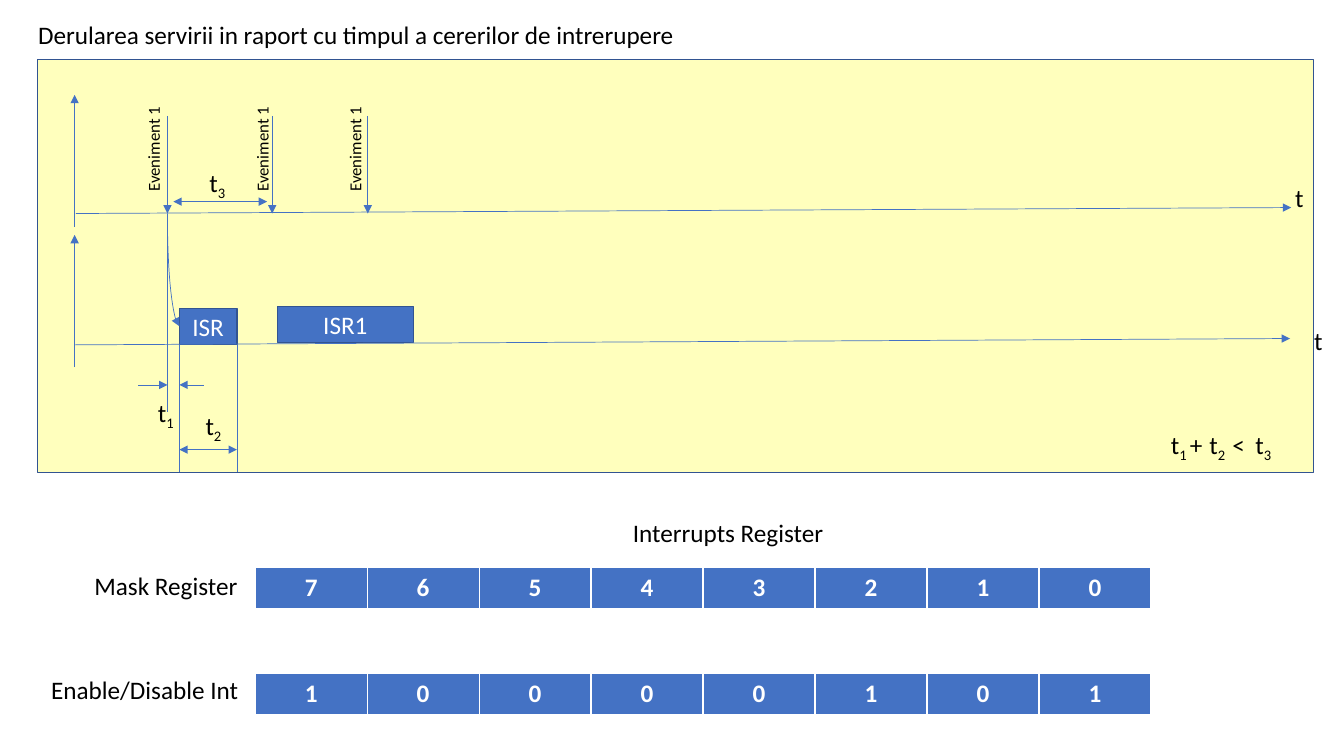
from dataclasses import dataclass
from typing import Any

from lxml import etree
from pptx import Presentation
from pptx.dml.color import RGBColor
from pptx.enum.shapes import MSO_CONNECTOR, MSO_SHAPE
from pptx.enum.text import MSO_ANCHOR, MSO_AUTO_SIZE, PP_ALIGN
from pptx.oxml.ns import qn
from pptx.util import Cm, Pt

RECT = MSO_SHAPE.RECTANGLE
STRAIGHT, CURVE = MSO_CONNECTOR.STRAIGHT, MSO_CONNECTOR.CURVE
MIDDLE, CENTER = MSO_ANCHOR.MIDDLE, PP_ALIGN.CENTER
GROW = MSO_AUTO_SIZE.SHAPE_TO_FIT_TEXT

BLUE = RGBColor(0x44, 0x72, 0xC4)
NAVY = RGBColor(0x32, 0x54, 0x91)
YELLOW = RGBColor(0xFF, 0xFF, 0x00)
BLACK = RGBColor(0x00, 0x00, 0x00)
WHITE = RGBColor(0xFF, 0xFF, 0xFF)

BODY = {"name": "Calibri", "size": Pt(18)}
SMALL = {"name": "Calibri", "size": Pt(12)}
HEAD = {"name": "Calibri", "size": Pt(18), "bold": True}
FRAME = {"word_wrap": False, "auto_size": GROW}

ZERO, START, STOP = 4.22, 4.52, 5.97
TOP, BASE, FLOOR = 5.38, 8.69, 11.89
SUM_TOP = 10.69


@dataclass
class Box:
    text: str
    left: float
    top: float
    width: float
    height: float
    fill: RGBColor = BLUE


@dataclass
class Line:
    x1: float
    y1: float
    x2: float
    y2: float
    ends: tuple[str, ...] = ()
    kind: Any = STRAIGHT


@dataclass
class Label:
    text: str
    left: float
    top: float
    width: float
    height: float = 1.02
    turned: bool = False


@dataclass
class Row:
    top: float
    bits: str


TAIL = ("tailEnd",)
BOTH = ("headEnd", "tailEnd")

PANEL = Box("", 0.94, 1.5, 32.16, 10.41, YELLOW)
BOXES = [
    Box("ISR", START, 7.77, 1.45, 0.91),
    Box("ISR1", 6.99, 7.72, 3.43, 0.91),
]
EVENTS = [(ZERO, 3.48), (6.86, 6.22), (9.27, 8.56)]
LINES = [
    Line(1.91, TOP, 32.54, 5.23, TAIL),
    Line(1.88, 5.72, 1.88, 2.39, TAIL),
    Line(1.88, BASE, 32.51, 8.53, TAIL),
    Line(1.88, 9.25, 1.88, 5.92, TAIL),
    *[Line(x, 2.92, x, TOP, TAIL) for x, _ in EVENTS],
    Line(ZERO, 5.49, ZERO, 10.39),
    Line(START, BASE, START, FLOOR),
    Line(STOP, BASE, STOP, FLOOR),
    Line(3.48, 9.7, ZERO, 9.7, TAIL),
    Line(5.13, 9.7, START, 9.7, TAIL),
    Line(START, 11.33, STOP, 11.33, BOTH),
    Line(4.37, 5.08, 6.73, 5.08, BOTH),
]
BEND = Line(5.79, 6.65, 2.95, 6.95, TAIL, CURVE)
LABELS = [
    *[Label("Eveniment 1", x, 2.67, 1.02, 2.41, True) for _, x in EVENTS],
    Label("t", 32.39, 4.47, 0.74),
    Label("t", 32.87, 8.08, 0.74),
    Label("t_1", 3.73, 9.88, 0.94),
    Label("t_2", 4.93, 10.21, 0.94),
    Label("t_3", 5.03, 4.09, 0.94),
    Label("t_1", 29.26, SUM_TOP, 0.94),
    Label("+", 29.74, SUM_TOP, 0.84),
    Label("t_2", 30.23, SUM_TOP, 0.94),
    Label("<", 30.81, SUM_TOP, 0.84),
    Label("t_3", 31.39, SUM_TOP, 0.94),
    Label("Enable/Disable Int", 1.04, 16.87, 5.28),
    Label("Mask Register", 2.13, 14.25, 4.14),
    Label("Interrupts Register", 15.7, 12.9, 5.36),
    Label("Derularea servirii in raport cu timpul a cererilor de intrerupere",
          0.71, 0.36, 16.74),
]
ROWS = [Row(14.3, "76543210"), Row(16.97, "10000101")]


def assign(item: Any, values: dict[str, Any]) -> None:
    for key, value in values.items():
        setattr(item, key, value)


def write(par: Any, text: str, style: dict[str, Any], color: RGBColor) -> None:
    for index, part in enumerate(text.split("_")):
        run = par.add_run()
        run.text = part
        assign(run.font, style)
        run.font.color.rgb = color
        if index:
            run._r.get_or_add_rPr().set("baseline", "-25000")


def draw_box(shapes: Any, box: Box) -> Any:
    shape = shapes.add_shape(RECT, Cm(box.left), Cm(box.top),
                             Cm(box.width), Cm(box.height))
    shape.shadow.inherit = False
    shape.fill.solid()
    shape.fill.fore_color.rgb = box.fill
    shape.line.color.rgb = NAVY
    shape.line.width = Pt(1)
    if box.text:
        frame = shape.text_frame
        frame.vertical_anchor = MIDDLE
        par = frame.paragraphs[0]
        par.alignment = CENTER
        write(par, box.text, BODY, WHITE)
    return shape


def draw_panel(shapes: Any) -> None:
    shape = draw_box(shapes, PANEL)
    color = shape._element.spPr.find(qn("a:solidFill")).find(qn("a:srgbClr"))
    etree.SubElement(color, qn("a:alpha")).set("val", "26000")


def draw_line(shapes: Any, line: Line) -> Any:
    shape = shapes.add_connector(line.kind, Cm(line.x1), Cm(line.y1),
                                 Cm(line.x2), Cm(line.y2))
    shape.line.color.rgb = BLUE
    shape.line.width = Pt(0.5)
    for end in line.ends:
        tip = etree.SubElement(shape.line._get_or_add_ln(), qn(f"a:{end}"))
        tip.set("type", "triangle")
    etree.SubElement(shape._element.spPr, qn("a:effectLst"))
    return shape


def draw_bend(shapes: Any) -> None:
    props = draw_line(shapes, BEND)._element.spPr
    props.find(qn("a:xfrm")).set("rot", "16200000")
    props.find(qn("a:prstGeom")).set("prst", "curvedConnector2")


def draw_label(shapes: Any, label: Label) -> None:
    shape = shapes.add_textbox(Cm(label.left), Cm(label.top),
                               Cm(label.width), Cm(label.height))
    frame = shape.text_frame
    assign(frame, FRAME)
    if label.turned:
        frame._txBody.bodyPr.set("vert", "vert270")
    style = SMALL if label.turned else BODY
    write(frame.paragraphs[0], label.text, style, BLACK)


def draw_row(shapes: Any, row: Row) -> None:
    table = shapes.add_table(1, len(row.bits), Cm(6.43), Cm(row.top),
                             Cm(22.58), Cm(1.03)).table
    for cell, bit in zip(table.iter_cells(), row.bits):
        cell.fill.solid()
        cell.fill.fore_color.rgb = BLUE
        par = cell.text_frame.paragraphs[0]
        par.alignment = CENTER
        write(par, bit, HEAD, WHITE)


def main() -> None:
    deck = Presentation()
    assign(deck, {"slide_width": Cm(33.87), "slide_height": Cm(19.05)})
    shapes = deck.slides.add_slide(deck.slide_layouts[6]).shapes
    draw_panel(shapes)
    for box in BOXES:
        draw_box(shapes, box)
    for line in LINES:
        draw_line(shapes, line)
    draw_bend(shapes)
    for row in ROWS:
        draw_row(shapes, row)
    for label in LABELS:
        draw_label(shapes, label)
    deck.save("out.pptx")


if __name__ == "__main__":
    main()
